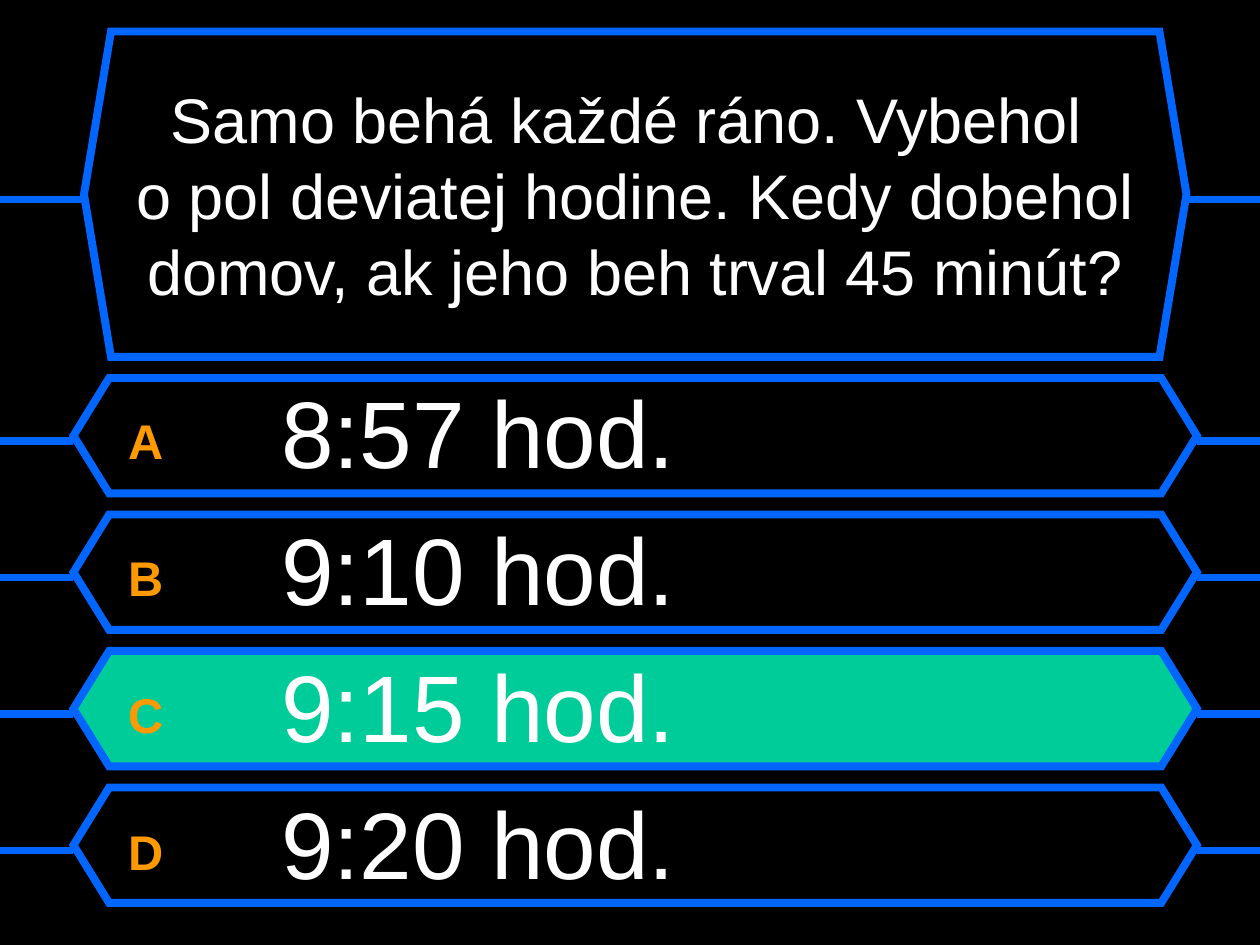
from lxml.etree import SubElement
from pptx import Presentation
from pptx.dml.color import RGBColor
from pptx.enum.shapes import MSO_CONNECTOR as LINE, MSO_SHAPE as SHAPE
from pptx.enum.text import MSO_ANCHOR as ANCHOR, MSO_AUTO_SIZE as AUTOSIZE, PP_ALIGN as ALIGN
from pptx.oxml.ns import qn
from pptx.util import Pt

# Content
QUESTION = ["Samo behá každé ráno. Vybehol ",
            "o pol deviatej hodine. Kedy dobehol domov, ak jeho beh trval 45 minút?"]
ANSWERS = [("A", "8:57 hod."), ("B", "9:10 hod."), ("C", "9:15 hod."), ("D", "9:20 hod.")]
CORRECT = "C"

COLORS = {"back": "000000", "frame": "0066FF", "correct": "00CC99",
          "letter": "FF9900", "text": "FFFFFF"}
FONT = "Arial"

# Layout, in points
SLIDE_W, SLIDE_H = 720, 540
QUESTION_FRAME = (48, 18, 630, 186)
ANSWER_LEFT, ANSWER_TOP, ANSWER_W, ANSWER_H = 42, 216, 642, 66
ANSWER_STEP = 78
FRAME_WIDTH = 4.5
LINE_DROP = 3  # side lines run slightly below the frame's middle
ANSWER_INDENT = 87.5


def color(name):
    return RGBColor.from_string(COLORS[name])


def add_frame(slide, box, fill, point):
    """Hexagon with a line from each tip to the slide's edge."""
    left, top, width, height = box
    frame = slide.shapes.add_shape(SHAPE.HEXAGON, *map(Pt, box))
    frame.adjustments[0] = point
    frame.shadow.inherit = False
    frame.fill.solid()
    frame.fill.fore_color.rgb = color(fill)
    frame.line.color.rgb = color("frame")
    frame.line.width = Pt(FRAME_WIDTH)
    SubElement(frame._element.spPr.find(qn("a:ln")), qn("a:miter"), lim="800000")

    y = Pt(top + height / 2 + LINE_DROP)
    for start, end in ((left, 0), (SLIDE_W, left + width)):
        side = slide.shapes.add_connector(LINE.STRAIGHT, Pt(start), y, Pt(end), y)
        side.line.color.rgb = color("frame")
        side.line.width = Pt(FRAME_WIDTH)
        SubElement(side._element.spPr, qn("a:effectLst"))


def place(holder, box, anchor):
    """Move a placeholder to its box, in front of the frames."""
    holder.left, holder.top, holder.width, holder.height = map(Pt, box)
    holder._element.getparent().append(holder._element)
    frame = holder.text_frame
    frame.word_wrap = True
    frame.auto_size = AUTOSIZE.NONE
    frame.vertical_anchor = anchor
    return frame


def add_run(paragraph, text, size, fill, bold=False):
    run = paragraph.add_run()
    run.text = text
    run.font.name = FONT
    run.font.size = Pt(size)
    run.font.bold = bold
    run.font.color.rgb = color(fill)
    return run


def main():
    deck = Presentation()
    deck.slide_width, deck.slide_height = Pt(SLIDE_W), Pt(SLIDE_H)
    slide = deck.slides.add_slide(deck.slide_layouts[1])
    slide.background.fill.solid()
    slide.background.fill.fore_color.rgb = color("back")

    # Frames
    add_frame(slide, QUESTION_FRAME, "back", 0.083)
    for row, (letter, _) in enumerate(ANSWERS):
        box = (ANSWER_LEFT, ANSWER_TOP + row * ANSWER_STEP, ANSWER_W, ANSWER_H)
        add_frame(slide, box, "correct" if letter == CORRECT else "back", 0.309)

    # Question
    title = place(slide.shapes.title, (60, 30, 606, 162), ANCHOR.MIDDLE)
    question = title.paragraphs[0]
    question.alignment = ALIGN.CENTER
    for number, line in enumerate(QUESTION):
        if number:
            question.add_line_break()
        add_run(question, line, 36, "text")

    # Answers
    body = place(slide.placeholders[1], (66, 210, 600, 312), ANCHOR.TOP)
    for row, (letter, answer) in enumerate(ANSWERS):
        paragraph = body.add_paragraph() if row else body.paragraphs[0]
        paragraph.space_before = Pt(13.5 if row else 0)
        properties = paragraph._p.get_or_add_pPr()
        properties.set("marL", str(Pt(ANSWER_INDENT)))
        properties.set("indent", str(-Pt(ANSWER_INDENT)))
        SubElement(properties, qn("a:buNone"))
        label = add_run(paragraph, letter, 48, "letter", bold=True)
        label.font._element.set("baseline", "10000")
        add_run(paragraph, "\t" + answer, 54, "text")

    deck.save("out.pptx")


if __name__ == "__main__":
    main()
